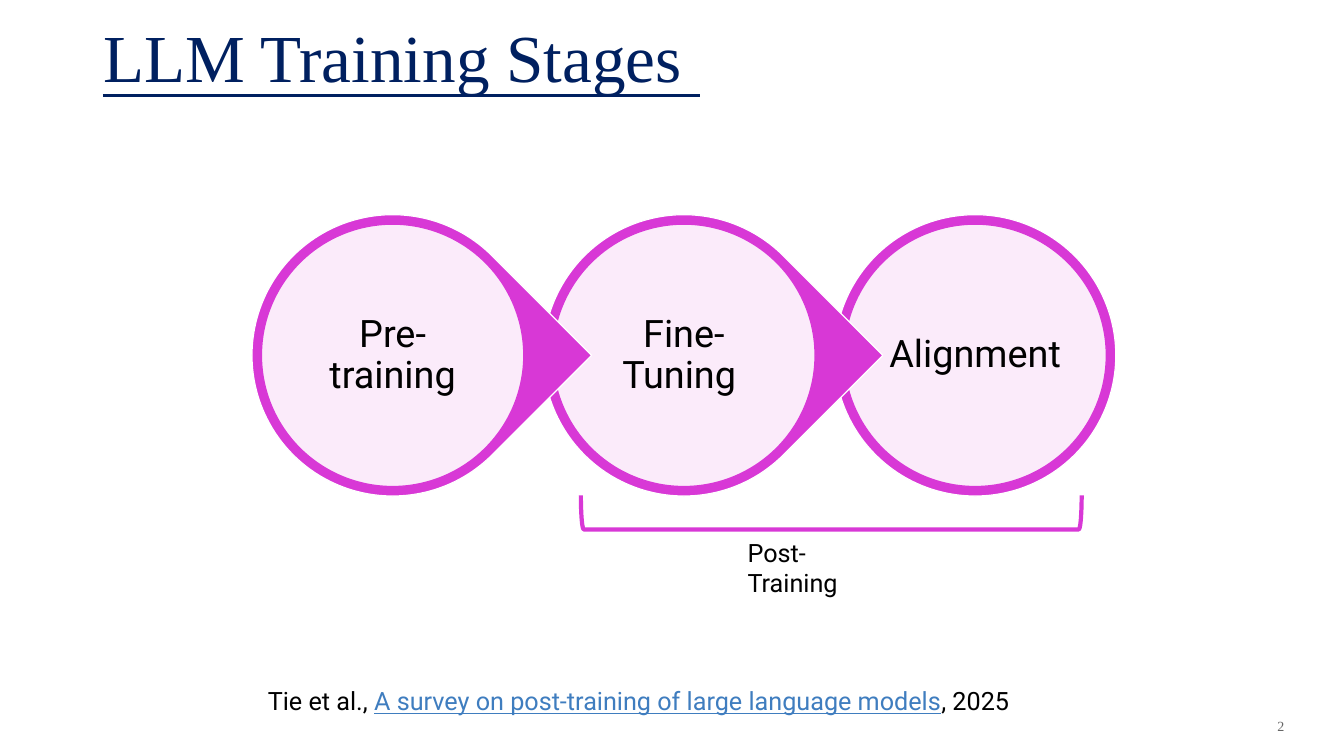
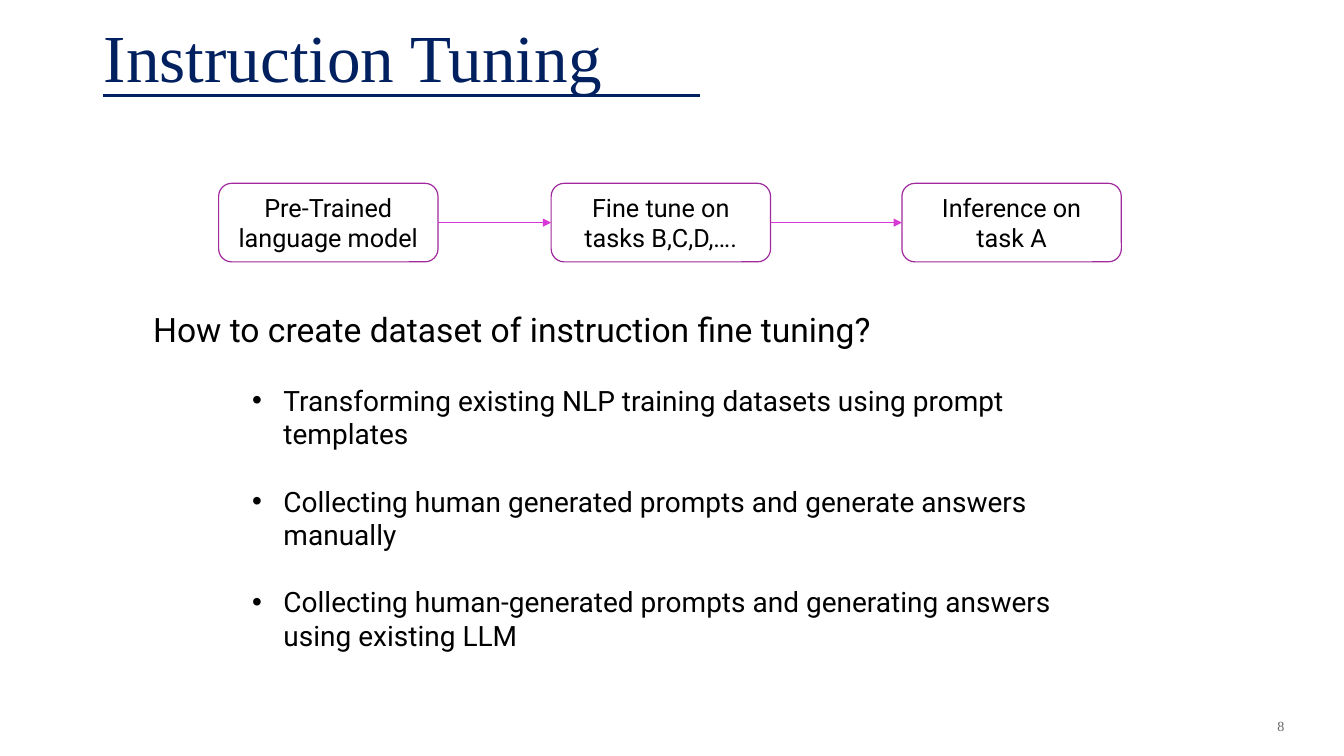
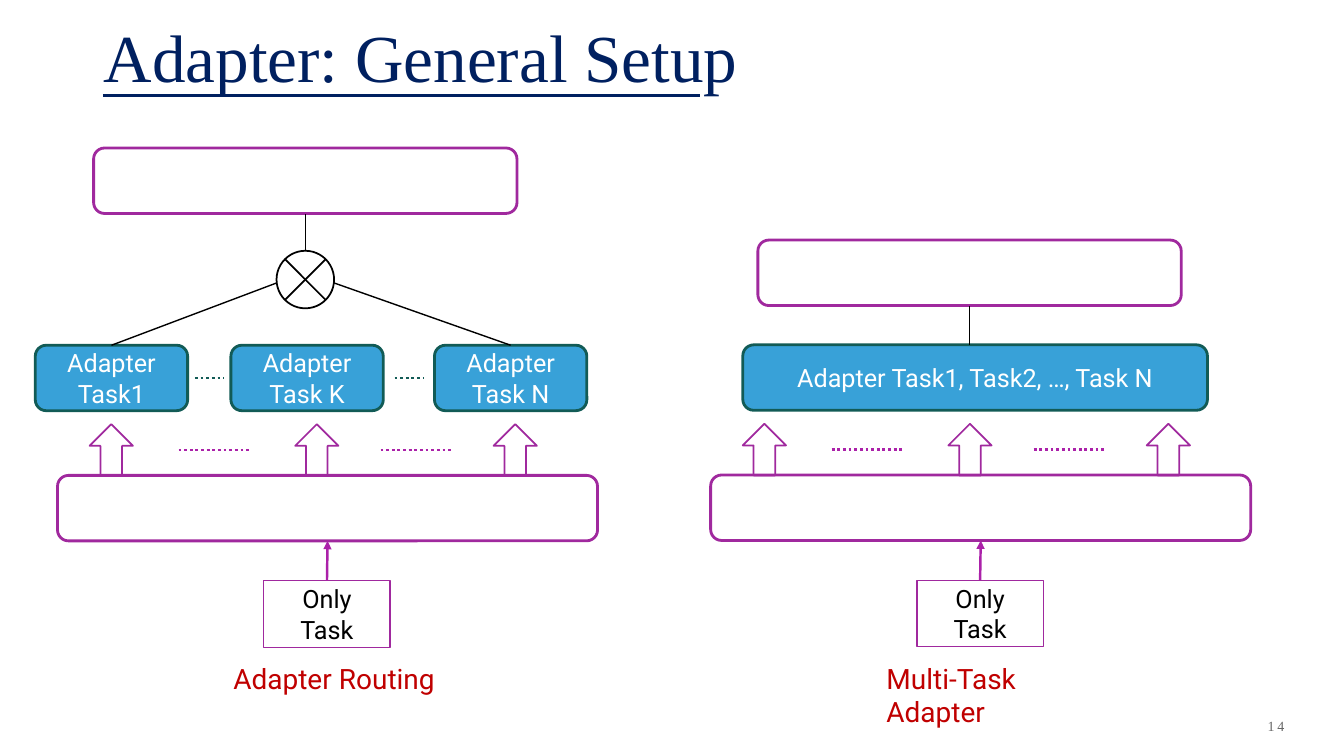
from lxml import etree
from pptx import Presentation
from pptx.dml.color import RGBColor
from pptx.enum.dml import MSO_LINE
from pptx.enum.shapes import MSO_CONNECTOR, MSO_SHAPE
from pptx.enum.text import MSO_ANCHOR, MSO_AUTO_SIZE, PP_ALIGN
from pptx.oxml.ns import qn
from pptx.util import Cm, Pt

NAVY = RGBColor(0x00, 0x20, 0x60)
MAGENTA = RGBColor(0xD8, 0x38, 0xD6)
PURPLE = RGBColor(0xA0, 0x29, 0x9E)
VIOLET = RGBColor(0xAB, 0x21, 0xA9)
BLUE = RGBColor(0x38, 0xA1, 0xD8)
TEAL = RGBColor(0x12, 0x5B, 0x56)
LINK_BLUE = RGBColor(0x3F, 0x7D, 0xBF)
RED = RGBColor(0xC0, 0x00, 0x00)
GREY = RGBColor(0x66, 0x66, 0x66)
BLACK = RGBColor(0x00, 0x00, 0x00)
WHITE = RGBColor(0xFF, 0xFF, 0xFF)

BODY_FONT = "Roboto"
TITLE_FONT = "Times New Roman"

ELLIPSE = MSO_SHAPE.OVAL
TEARDROP = MSO_SHAPE.TEAR
BRACKET = MSO_SHAPE.LEFT_BRACKET
ROUNDED = MSO_SHAPE.ROUNDED_RECTANGLE
RECTANGLE = MSO_SHAPE.RECTANGLE
UP_ARROW = MSO_SHAPE.UP_ARROW
JUNCTION = MSO_SHAPE.FLOWCHART_SUMMING_JUNCTION
STRAIGHT = MSO_CONNECTOR.STRAIGHT
DOTTED = MSO_LINE.ROUND_DOT
LEFT, CENTER, RIGHT = PP_ALIGN.LEFT, PP_ALIGN.CENTER, PP_ALIGN.RIGHT
TOP, MIDDLE, BOTTOM = MSO_ANCHOR.TOP, MSO_ANCHOR.MIDDLE, MSO_ANCHOR.BOTTOM
NO_AUTOFIT = MSO_AUTO_SIZE.NONE

TITLE_ONLY, TITLE_AND_BODY = 5, 1
SIDE_TOP, SIDE_LEFT, SIDE_BOTTOM, SIDE_RIGHT = range(4)


def place(part, left, top, width, height):
    part.left, part.top = Cm(left), Cm(top)
    part.width, part.height = Cm(width), Cm(height)


def add_run(paragraph, text, size, color=BLACK, font=BODY_FONT):
    run = paragraph.add_run()
    run.text = text
    run.font.size = Pt(size)
    run.font.name = font
    run.font.color.rgb = color
    return run


def add_box(slide, kind, box, line, weight, fill=None):
    """Add a preset shape; box is left, top, width, height in cm."""
    shape = slide.shapes.add_shape(kind, *map(Cm, box))
    shape.shadow.inherit = False
    shape.line.color.rgb = line
    shape.line.width = Pt(weight)
    if fill is None:
        shape.fill.background()
    else:
        shape.fill.solid()
        shape.fill.fore_color.rgb = fill
    return shape


def write_centered(shape, text, size=18, color=BLACK):
    frame = shape.text_frame
    frame.word_wrap = True
    frame.vertical_anchor = MIDDLE
    paragraph = frame.paragraphs[0]
    paragraph.alignment = CENTER
    add_run(paragraph, text, size, color)


def add_label(slide, box, wrap=False):
    """Add an empty text box and return its first paragraph."""
    frame = slide.shapes.add_textbox(*map(Cm, box)).text_frame
    frame.word_wrap = wrap
    return frame.paragraphs[0]


def add_line(slide, start, end, color, weight, dash=None, arrow=False):
    """Add a straight line between two (x, y) points in EMU."""
    line = slide.shapes.add_connector(STRAIGHT, *start, *end)
    line.line.color.rgb = color
    line.line.width = Pt(weight)
    if dash is not None:
        line.line.dash_style = dash
    if arrow:
        etree.SubElement(line.line._get_or_add_ln(), qn("a:tailEnd"), type="triangle")
    etree.SubElement(line.element.spPr, qn("a:effectLst"))
    return line


def join(slide, source, source_side, target, target_side, color, weight, arrow=False):
    line = add_line(slide, (0, 0), (0, 0), color, weight, arrow=arrow)
    line.begin_connect(source, source_side)
    line.end_connect(target, target_side)


def dot_gaps(slide, row, length, color):
    """Centre a dotted line in each gap between neighbours of a row."""
    for before, after in zip(row, row[1:]):
        x = (before.left + before.width + after.left - Cm(length)) // 2
        y = before.top + before.height // 2
        add_line(slide, (x, y), (x + Cm(length), y), color, 2, DOTTED)


def add_title_rule(prs, slide):
    """Move the rule under the title to the master, so every slide shows it."""
    rule = add_line(slide, (Cm(2.59), Cm(2.41)), (Cm(17.65), Cm(2.41)), NAVY, 2.5)
    prs.slide_master.shapes.element.append(rule.element)


def start_slide(prs, layout, title, number):
    slide = prs.slides.add_slide(prs.slide_layouts[layout])
    place(slide.shapes.title, 2.36, -0.56, 29.29, 3.1)
    frame = slide.shapes.title.text_frame
    frame.auto_size = NO_AUTOFIT
    frame.vertical_anchor = BOTTOM
    frame.paragraphs[0].alignment = LEFT
    add_run(frame.paragraphs[0], title, 48, NAVY, TITLE_FONT)

    page = slide.shapes.add_textbox(Cm(27.74), Cm(17.65), Cm(4.88), Cm(1.27))
    page.text_frame.vertical_anchor = MIDDLE
    page.text_frame.word_wrap = True
    paragraph = page.text_frame.paragraphs[0]
    paragraph.alignment = RIGHT
    digits = add_run(paragraph, str(number), 10, GREY, TITLE_FONT)
    digits.font._element.set("spc", "200")
    return slide


def add_stage(slide, left, top, name, outline):
    size, rim = 7.09, 0.24
    back = add_box(slide, outline, (left, top, size, size), WHITE, 0.85, MAGENTA)
    if outline == TEARDROP:
        back.rotation = 45
    inner = size - 2 * rim
    disc = add_box(slide, ELLIPSE, (left + rim, top + rim, inner, inner),
                   MAGENTA, 0.85, WHITE)
    white = disc.fill._xPr.find(qn("a:solidFill"))[0]
    etree.SubElement(white, qn("a:alpha"), val="90000")
    frame = disc.text_frame
    frame.margin_left = frame.margin_right = Cm(0.1)
    frame.margin_top = frame.margin_bottom = Cm(0.1)
    write_centered(disc, name, 27)
    frame.paragraphs[0].line_spacing = 0.9


def build_stages(slide):
    stages = [("Pre-training", TEARDROP), ("Fine-Tuning ", TEARDROP),
              ("Alignment", ELLIPSE)]
    for index, (name, outline) in reversed(list(enumerate(stages))):
        add_stage(slide, 6.35 + 7.34 * index, 5.41, name, outline)

    bracket = add_box(slide, BRACKET, (20.52, 6.6, 0.86, 12.62), MAGENTA, 3)
    bracket.rotation = 270
    add_run(add_label(slide, (18.59, 13.41, 3.8, 1.02), True), "Post-Training", 18)

    citation = add_label(slide, (6.5, 17.15, 20.02, 1.02))
    add_run(citation, "Tie et al., ", 18)
    survey = add_run(citation, "A survey on post-training of large language models",
                     18, LINK_BLUE)
    survey.font.underline = True
    add_run(citation, ", 2025", 18)


def build_pipeline(slide, top):
    steps = []
    for left, text in [(5.51, "Pre-Trained language model"),
                       (13.89, "Fine tune on tasks B,C,D,…."),
                       (22.73, "Inference on task A")]:
        step = add_box(slide, ROUNDED, (left, top, 5.53, 1.98), PURPLE, 0.85)
        write_centered(step, text)
        steps.append(step)
    for before, after in zip(steps, steps[1:]):
        join(slide, before, SIDE_RIGHT, after, SIDE_LEFT, MAGENTA, 0.75, arrow=True)


def fill_bullets(body, items):
    place(body, 6.1, 9.53, 21.64, 7.09)
    frame = body.text_frame
    frame.auto_size = NO_AUTOFIT
    frame.vertical_anchor = TOP
    for index, item in enumerate(items):
        paragraph = frame.add_paragraph() if index else frame.paragraphs[0]
        paragraph.space_before = Pt(24 if index else 0)
        properties = paragraph._p.get_or_add_pPr()
        properties.set("marL", str(Cm(0.79)))
        properties.set("indent", str(-Cm(0.79)))
        etree.SubElement(properties, qn("a:buFont"), typeface="Arial")
        etree.SubElement(properties, qn("a:buChar"), char="•")
        add_run(paragraph, item, 20)


def build_instruction_tuning(slide):
    build_pipeline(slide, 4.62)
    question = add_label(slide, (3.61, 7.65, 19.15, 1.27))
    add_run(question, "How to create dataset of instruction fine tuning?", 24)
    fill_bullets(slide.placeholders[1], [
        "Transforming existing NLP training datasets using prompt templates",
        "Collecting human generated prompts and generate answers manually",
        "Collecting human-generated prompts and generating answers using existing LLM",
    ])


def add_adapter(slide, left, top, width, text):
    adapter = add_box(slide, ROUNDED, (left, top, width, 1.65), TEAL, 2, BLUE)
    write_centered(adapter, text, color=WHITE)
    return adapter


def add_layer(slide, left, top, width):
    return add_box(slide, ROUNDED, (left, top, width, 1.65), PURPLE, 2)


def add_lower_half(slide, left, top, caption):
    """Draw the lower layer at left, top with its input, arrows and caption."""
    layer = add_layer(slide, left, top, 13.61)
    arrows = [add_box(slide, UP_ARROW, (left + x, top - 1.29, 1.09, 1.3), PURPLE, 1.25)
              for x in (0.81, 5.99, 10.99)]
    dot_gaps(slide, arrows, 1.79, VIOLET)
    task = add_box(slide, RECTANGLE, (left + 5.2, top + 2.65, 3.18, 1.68), PURPLE, 0.85)
    write_centered(task, "Only Task")
    join(slide, task, SIDE_TOP, layer, SIDE_BOTTOM, VIOLET, 1.75, arrow=True)
    add_run(add_label(slide, (left + 4.18, top + 4.57, 6.2, 1.12)), caption, 20, RED)


def build_routing(slide, left, top):
    add_lower_half(slide, left, top, "Adapter Routing")
    adapters = [add_adapter(slide, left + x, top - 3.28, 3.84, text)
                for x, text in [(-0.56, "Adapter Task1"), (4.37, "Adapter Task K"),
                                (9.5, "Adapter Task N")]]
    dot_gaps(slide, adapters, 0.72, TEAL)
    upper = add_layer(slide, left + 0.91, top - 8.25, 10.67)
    router = add_box(slide, JUNCTION, (left + 5.52, top - 5.66, 1.45, 1.45), BLACK, 1.25)
    join(slide, router, SIDE_TOP, upper, SIDE_BOTTOM, BLACK, 1)
    ray_y = Cm(top - 4.85)
    for adapter, x in [(adapters[0], router.left),
                       (adapters[-1], router.left + router.width)]:
        ray = add_line(slide, (0, 0), (x, ray_y), BLACK, 1)
        ray.begin_connect(adapter, SIDE_TOP)


def build_multi_task(slide, left, top):
    add_lower_half(slide, left, top, "Multi-Task Adapter")
    adapter = add_adapter(slide, left + 0.81, top - 3.28, 11.71,
                          "Adapter Task1, Task2, …, Task N")
    upper = add_layer(slide, left + 1.19, top - 5.92, 10.67)
    stem_x = upper.left + upper.width // 2
    stem = add_line(slide, (0, 0), (stem_x, adapter.top), BLACK, 1)
    stem.begin_connect(upper, SIDE_BOTTOM)


def main():
    prs = Presentation()
    prs.slide_width, prs.slide_height = Cm(33.87), Cm(19.05)

    stages = start_slide(prs, TITLE_ONLY, "LLM Training Stages", 2)
    add_title_rule(prs, stages)
    build_stages(stages)

    build_instruction_tuning(start_slide(prs, TITLE_AND_BODY, "Instruction Tuning", 8))

    setup = start_slide(prs, TITLE_ONLY, "Adapter: General Setup", 14)
    build_routing(setup, 1.45, 11.98)
    build_multi_task(setup, 17.91, 11.97)

    prs.save("out.pptx")


if __name__ == "__main__":
    main()
